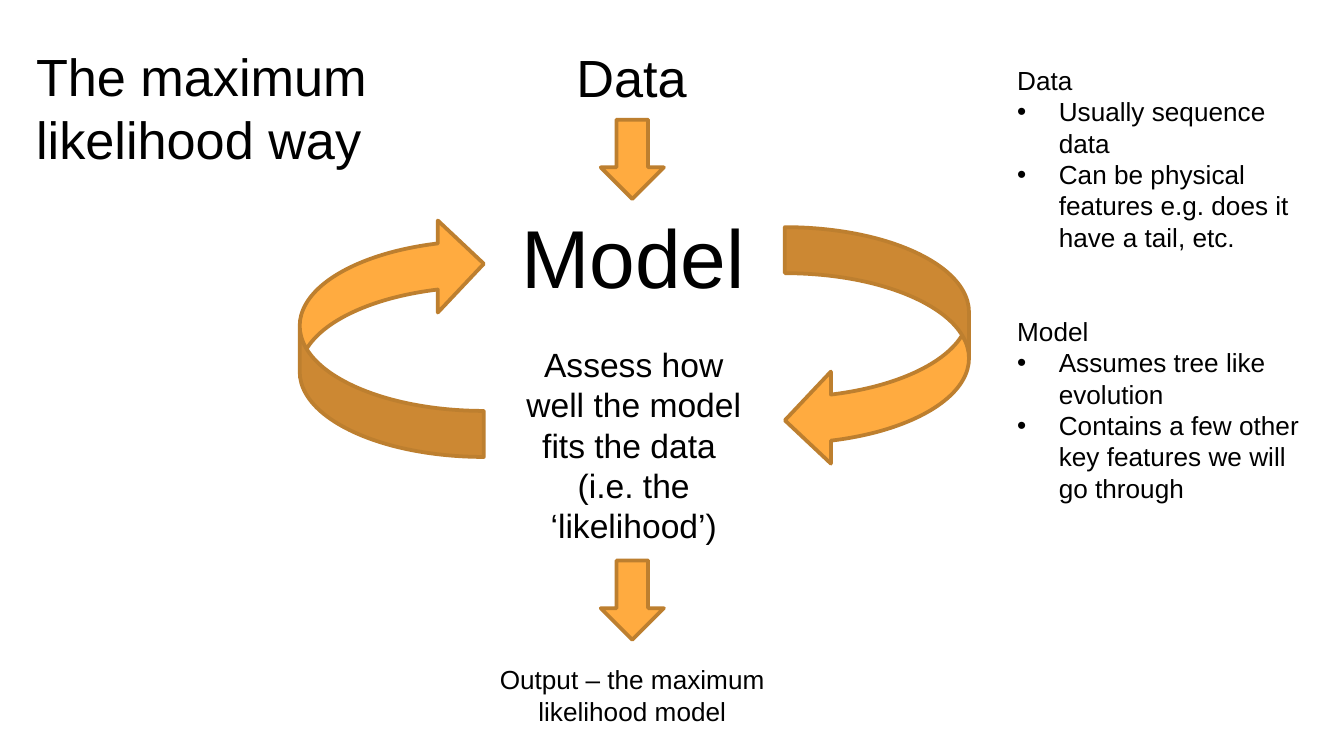
"""Build the slide on the maximum likelihood way of fitting a model to data."""
from lxml import etree
from pptx import Presentation
from pptx.dml.color import RGBColor
from pptx.enum import shapes, text
from pptx.oxml.ns import qn
from pptx.util import Inches, Pt


def rgb(value):
    return RGBColor.from_string(value)


def add_text(s, box, lines, size, align=text.PP_ALIGN.LEFT, wrap=True, inset=0.05):
    sp = s.shapes.add_textbox(*map(Inches, box))
    tf = sp.text_frame
    tf.word_wrap = wrap
    tf.margin_top = tf.margin_bottom = Inches(inset)
    for i, line in enumerate(lines):
        p = tf.paragraphs[0] if i == 0 else tf.add_paragraph()
        p.text = line
        p.alignment = align
        for r in p.runs:
            r.font.name = "Arial"
            r.font.size = Pt(size)
            r.font.color.rgb = rgb("000000")
    return tf


prs = Presentation()
prs.slide_width = Inches(10)
prs.slide_height = Inches(10) * 9 // 16
s = prs.slides.add_slide(prs.slide_layouts[6])

center = text.PP_ALIGN.CENTER
add_text(s, (0.17, 0.23, 3.72, 0.63), ["The maximum likelihood way"], 28, inset=0.1)
add_text(s, (4.19, 0.29, 1.03, 0.57), ["Data"], 28, wrap=False)
add_text(s, (3.78, 1.49, 2.23, 0.84), ["Model"], 44)
assess = ["Assess how well the model fits the data ", "(i.e. the ‘likelihood’)"]
add_text(s, (3.77, 2.51, 1.89, 1.62), assess, 18, center)
add_text(s, (3.49, 4.89, 2.43, 0.57), ["Output – the maximum likelihood model"], 14, center)

curved = shapes.MSO_SHAPE.CURVED_LEFT_ARROW
down = shapes.MSO_SHAPE.DOWN_ARROW
for kind, box, angle in [
    (curved, (5.84, 1.69, 1.37, 1.78), 0),
    (curved, (2.23, 1.62, 1.37, 1.78), 180),
    (down, (4.47, 0.89, 0.47, 0.59), 0),
    (down, (4.47, 4.17, 0.47, 0.59), 0),
]:
    sp = s.shapes.add_shape(kind, *map(Inches, box))
    sp.rotation = angle
    sp.shadow.inherit = False
    sp.fill.solid()
    sp.fill.fore_color.rgb = rgb("FFAB40")
    sp.line.color.rgb = rgb("BD7F2F")
    sp.line.width = Pt(2)

headings = ["Data", "Model"]
notes = [
    "Data",
    "Usually sequence data",
    "Can be physical features e.g. does it have a tail, etc.",
    "Model",
    "Assumes tree like evolution",
    "Contains a few other key features we will go through",
]
tf = add_text(s, (7.47, 0.43, 2.4, 3.4), notes, 14)
for p in tf.paragraphs:
    if p.text not in headings:
        pPr = p._p.get_or_add_pPr()
        pPr.set("marL", str(Inches(0.31)))
        pPr.set("indent", str(-Inches(0.31)))
        etree.SubElement(pPr, qn("a:buFont"), typeface="Arial")
        etree.SubElement(pPr, qn("a:buChar"), char="•")
tf.paragraphs[notes.index("Model")].space_before = Pt(33.5)

prs.save("out.pptx")
